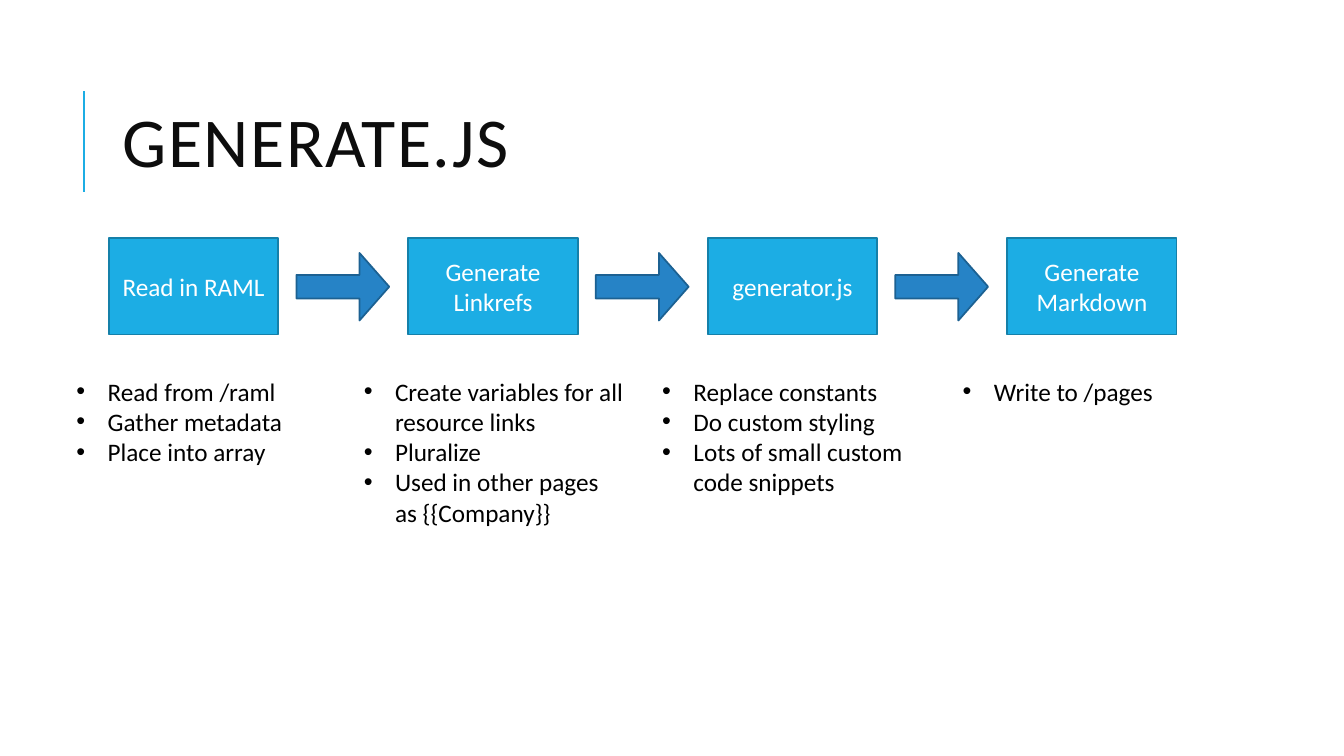
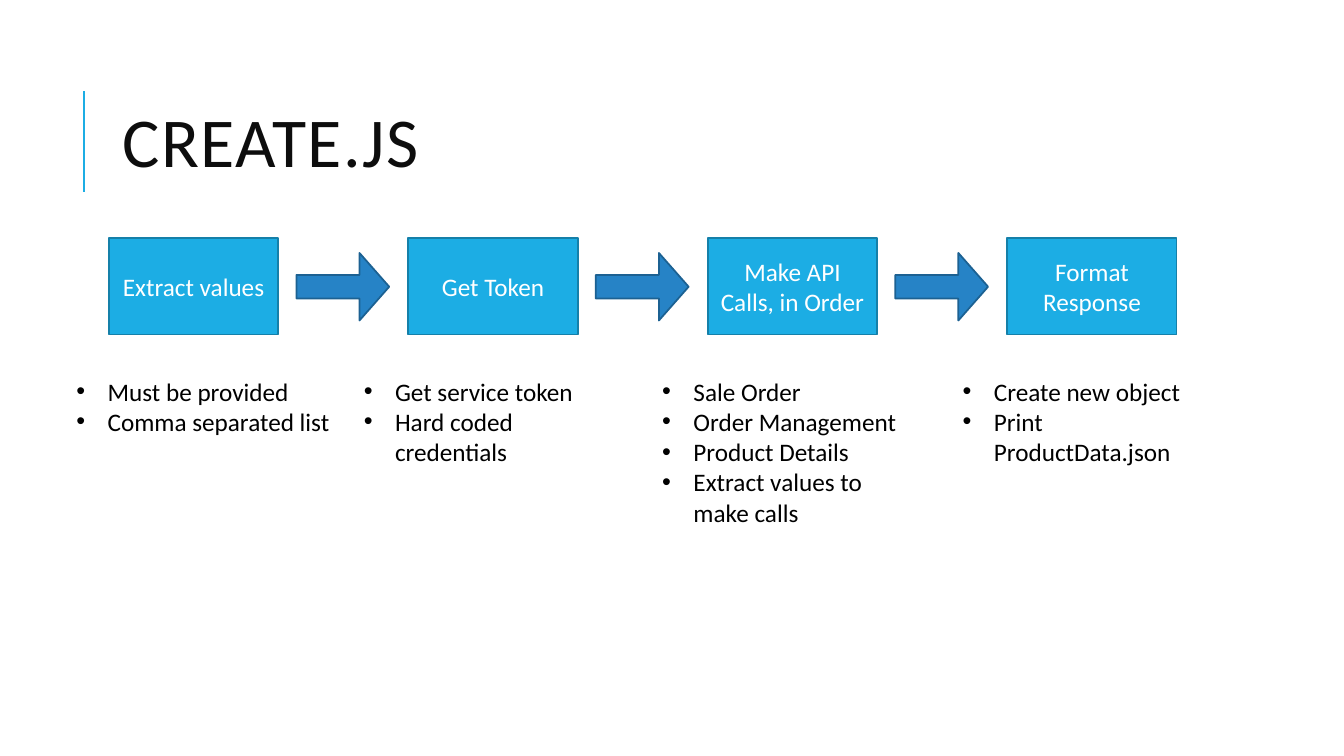
from math import ceil

from lxml.etree import SubElement
from pptx import Presentation
from pptx.dml.color import RGBColor
from pptx.enum.shapes import MSO_CONNECTOR, MSO_SHAPE
from pptx.enum.text import MSO_ANCHOR, MSO_AUTO_SIZE, PP_ALIGN
from pptx.oxml.ns import qn
from pptx.util import Emu, Pt

FONT = "Calibri"
WHITE = RGBColor(0xFF, 0xFF, 0xFF)
BLACK = RGBColor(0x00, 0x00, 0x00)
TITLE_INK = RGBColor(0x0D, 0x0D, 0x0D)
CYAN = RGBColor(0x1C, 0xAD, 0xE4)
CYAN_EDGE = RGBColor(0x15, 0x80, 0xA9)
BLUE = RGBColor(0x26, 0x83, 0xC6)
BLUE_EDGE = RGBColor(0x1C, 0x61, 0x92)

EMU_PER_PX = 9144
STEP_LEFT = 108
ARROW_LEFT = 294
COLUMN_PITCH = 297
NOTE_LEFTS = (66, 351, 647, 945)
NOTE_INDENT = 31
CHARACTERS_PER_LINE = 21

FLOWS = (
    ("GENERATE.JS", (
        ("Read in RAML", ("Read from /raml", "Gather metadata", "Place into array")),
        ("Generate Linkrefs", ("Create variables for all resource links", "Pluralize",
                               "Used in other pages as {{Company}}")),
        ("generator.js", ("Replace constants", "Do custom styling",
                          "Lots of small custom code snippets")),
        ("Generate Markdown", ("Write to /pages",)),
    )),
    ("CREATE.JS", (
        ("Extract values", ("Must be provided", "Comma separated list")),
        ("Get Token", ("Get service token", "Hard coded credentials")),
        ("Make API Calls, in Order", ("Sale Order", "Order Management", "Product Details",
                                      "Extract values to make calls")),
        ("Format Response", ("Create new object", "Print ProductData.json")),
    )),
)


def px(*lengths):
    return [Emu(length * EMU_PER_PX) for length in lengths]


class FlowDeck:
    """Hold the shared style and draw process elements on the current page."""

    def __init__(self):
        self.deck = Presentation()
        self.deck.slide_width, self.deck.slide_height = px(1333, 750)
        self.page = None

    def add_page(self, title):
        self.page = self.deck.slides.add_slide(self.deck.slide_layouts[6])
        self.rule()
        self.title(title)

    def rule(self):
        line = self.page.shapes.add_connector(MSO_CONNECTOR.STRAIGHT, *px(83, 190, 83, 90))
        line.line.color.rgb = CYAN
        line.line.width = Pt(1.5)
        SubElement(line._element.spPr, qn("a:effectLst"))

    def span(self, para, text, size, color):
        span = para.add_run()
        span.text = text
        span.font.name = FONT
        span.font.size = Pt(size)
        span.font.color.rgb = color
        return span

    def text_box(self, left, top, width, height):
        box = self.page.shapes.add_textbox(*px(left, top, width, height))
        box.text_frame.word_wrap = True
        return box.text_frame

    def title(self, text):
        frame = self.text_box(112, 64, 1063, 164)
        frame.vertical_anchor = MSO_ANCHOR.MIDDLE
        para = frame.paragraphs[0]
        para.line_spacing = 0.8
        span = self.span(para, text, 50, TITLE_INK)
        span.font._element.set("spc", "100")

    def shape(self, kind, bounds, fill, edge):
        shape = self.page.shapes.add_shape(kind, *px(*bounds))
        shape.shadow.inherit = False
        shape.fill.solid()
        shape.fill.fore_color.rgb = fill
        shape.line.color.rgb = edge
        shape.line.width = Pt(1.25)
        return shape

    def step(self, column, text):
        left = STEP_LEFT + column * COLUMN_PITCH
        box = self.shape(MSO_SHAPE.RECTANGLE, (left, 236, 168, 96), CYAN, CYAN_EDGE)
        box.text_frame.word_wrap = True
        box.text_frame.vertical_anchor = MSO_ANCHOR.MIDDLE
        para = box.text_frame.paragraphs[0]
        para.alignment = PP_ALIGN.CENTER
        self.span(para, text, 18, WHITE)

    def arrow(self, column):
        left = ARROW_LEFT + column * COLUMN_PITCH
        arrow = self.shape(MSO_SHAPE.RIGHT_ARROW, (left, 251, 92, 67), BLUE, BLUE_EDGE)
        arrow.adjustments[0] = 0.35
        arrow.adjustments[1] = 0.44

    def notes(self, column, items):
        lines = sum(ceil(len(item) / CHARACTERS_PER_LINE) for item in items)
        frame = self.text_box(NOTE_LEFTS[column], 368, 277, 10 + 30 * lines)
        frame.auto_size = MSO_AUTO_SIZE.SHAPE_TO_FIT_TEXT
        for index, item in enumerate(items):
            para = frame.add_paragraph() if index else frame.paragraphs[0]
            indent = NOTE_INDENT * EMU_PER_PX
            properties = para._p.get_or_add_pPr()
            properties.set("marL", str(indent))
            properties.set("indent", str(-indent))
            SubElement(properties, qn("a:buFont"), typeface="Arial")
            SubElement(properties, qn("a:buChar"), char="•")
            self.span(para, item, 18, BLACK)


def main():
    flow = FlowDeck()
    for title, steps in FLOWS:
        flow.add_page(title)
        for column, (label, items) in enumerate(steps):
            if column:
                flow.arrow(column - 1)
            flow.step(column, label)
            flow.notes(column, items)
    flow.deck.save("out.pptx")


if __name__ == "__main__":
    main()
